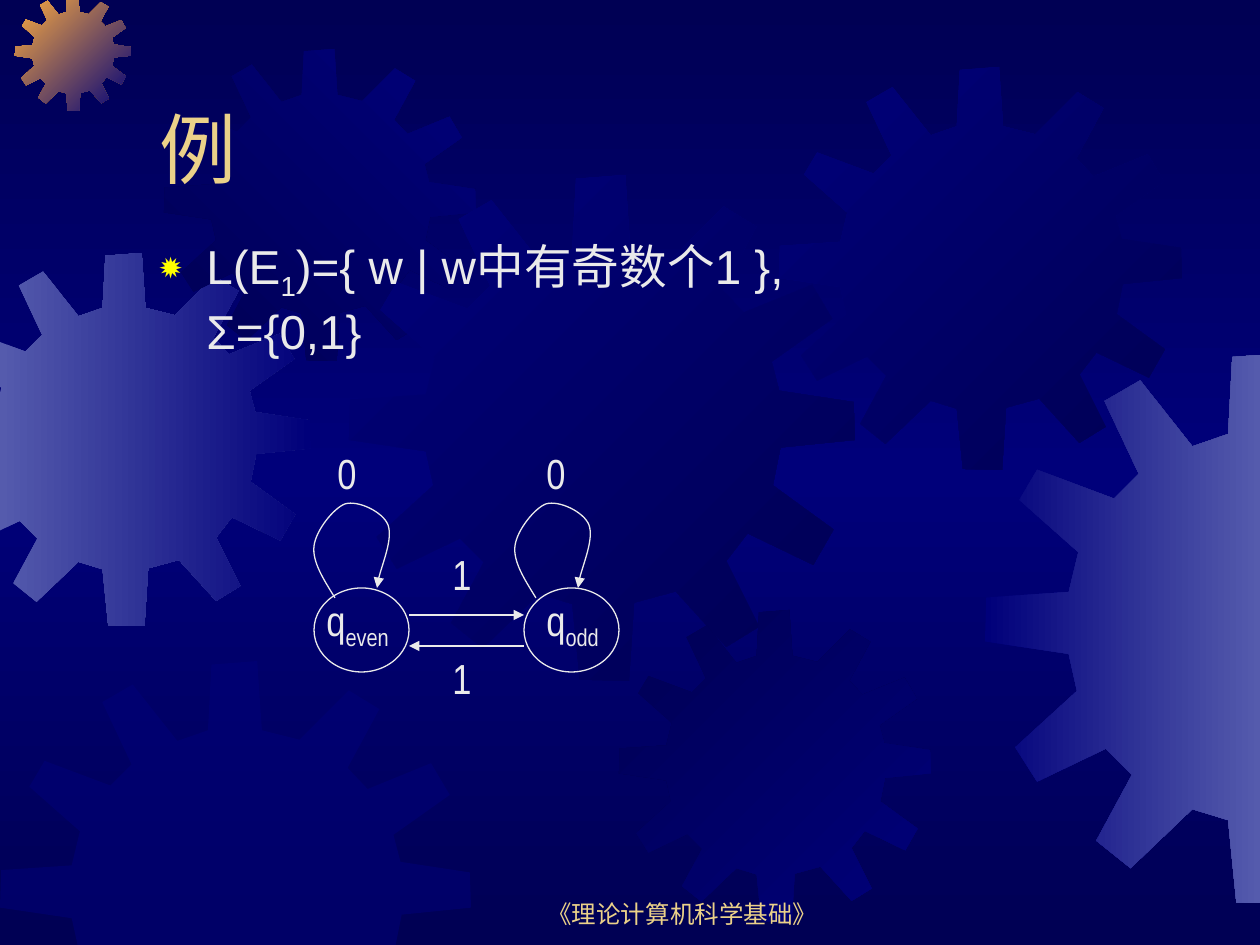
from pptx import Presentation
from pptx.dml.color import RGBColor
from pptx.enum.shapes import MSO_CONNECTOR, MSO_SHAPE
from pptx.enum.text import MSO_ANCHOR, PP_ALIGN
from pptx.oxml.ns import qn
from pptx.util import Pt
from lxml.etree import SubElement
from copy import deepcopy

PX = 914400 / 126
W, H = 1260, 945

NAVY = RGBColor(0x00, 0x00, 0x54)
BLUE = RGBColor(0x00, 0x00, 0x7A)
HAZE = RGBColor(0x55, 0x5B, 0xAD)
ORANGE = RGBColor(0xFC, 0xAB, 0x40)
GOLD = RGBColor(0xEB, 0xD1, 0x89)
PALE = RGBColor(0xEA, 0xEA, 0xEA)

# Gear outline in a square of GEAR_SIZE units
GEAR_SIZE = 401
GEAR = [
    (255, 67), (223, 59), (219, 0), (180, 3), (177, 59), (151, 68), (113, 20), (87, 35),
    (112, 88), (94, 106), (38, 85), (25, 107), (68, 145), (61, 174), (1, 178), (0, 210),
    (61, 219), (67, 246), (22, 287), (38, 312), (88, 288), (107, 307), (81, 355), (106, 375),
    (151, 332), (177, 340), (183, 400), (222, 401), (226, 339), (259, 330), (299, 374), (325, 358),
    (299, 306), (316, 284), (368, 309), (384, 281), (336, 246), (342, 216), (401, 210), (400, 180),
    (341, 171), (335, 148), (383, 114), (367, 87), (313, 109), (296, 91), (323, 41), (297, 25),
]
# left, top, size, gradient colours, clockwise angle (None: half-transparent solid)
GEARS = [
    (-62, 253, 373, (HAZE, BLUE), 0),
    (15, -5, 116, (ORANGE, BLUE), 45),
    (164, 49, 312, (NAVY, BLUE), 315),
    (349, 175, 506, (BLUE, NAVY), 45),
    (0, 661, 471, (BLUE,), None),
    (619, 610, 312, (NAVY, BLUE), 45),
    (779, 67, 403, (BLUE, NAVY), 45),
    (985, 353, 551, (BLUE, HAZE), 0),
]

TITLE = dict(size=Pt(44), name="Arial", color=GOLD)
FOOTER = dict(size=Pt(14), name="Arial", color=GOLD)
BODY = dict(size=Pt(27.2), name="Arial", color=PALE)
LABEL = dict(size=Pt(24), name="Arial Narrow", color=PALE)

# box, runs as (text, is subscript), font, frame values
TEXTS = [
    ((483, 872, 399, 63), [("《理论计算机科学基础》", False)], FOOTER, MSO_ANCHOR.BOTTOM),
    ((147, 42, 1071, 158), [("例", False)], TITLE, MSO_ANCHOR.BOTTOM),
    ((147, 231, 761, 136),
     [("L(E", False), ("1", True), (")={ w | w中有奇数个1 }, Σ={0,1}", False)], BODY, MSO_ANCHOR.TOP),
    ((314, 588, 94, 71), [("q", False), ("even", True)], LABEL, MSO_ANCHOR.TOP),
    ((534, 588, 94, 71), [("q", False), ("odd", True)], LABEL, MSO_ANCHOR.TOP),
] + [((x, y, 63, 63), [(text, False)], LABEL, MSO_ANCHOR.TOP)
     for x, y, text in [(325, 441, "0"), (440, 542, "1"), (534, 441, "0"), (440, 646, "1")]]

STATES = [(314, 588, 95, 84), (524, 588, 95, 84)]
TRANSITIONS = [(409, 524, 615), (524, 409, 646)]
LOOP = [(335, 598), (324, 580), (312, 562), (314, 546), (316, 530), (334, 508), (345, 504),
        (358, 500), (383, 512), (388, 525), (393, 539), (377, 577), (377, 588)]
LOOP_SHIFTS = [0, 201]


def emu(*values):
    return [round(v * PX) for v in values]


def clip(points, axis, limit, sign):
    """Keep the part of a polygon where sign * (coordinate - limit) >= 0."""
    kept = []
    for a, b in zip(points[-1:] + points, points):
        da, db = sign * (a[axis] - limit), sign * (b[axis] - limit)
        if da * db < 0:
            t = da / (da - db)
            kept.append((a[0] + t * (b[0] - a[0]), a[1] + t * (b[1] - a[1])))
        if db >= 0:
            kept.append(b)
    return kept


def add_freeform(points, closed):
    points = [emu(*pt) for pt in points]
    builder = slide.shapes.build_freeform(*points[0], scale=1.0)
    builder.add_line_segments(points[1:], close=closed)
    sp = builder.convert_to_shape()
    sp.shadow.inherit = False
    return sp


def set_gradient(fill, colours, angle):
    fill.gradient()
    fill.gradient_angle = (360 - angle) % 360
    for stop, colour, pos in zip(fill.gradient_stops, colours, (0, 1)):
        stop.color.rgb = colour
        stop.position = pos


def add_gear(left, top, size, colours, angle):
    k = size / GEAR_SIZE
    points = [(left + x * k, top + y * k) for x, y in GEAR]
    for axis, limit, sign in [(0, 0, 1), (1, 0, 1), (0, W, -1), (1, H, -1)]:
        points = clip(points, axis, limit, sign)
    sp = add_freeform(points, True)
    sp.line.fill.background()
    if angle is None:
        sp.fill.solid()
        sp.fill.fore_color.rgb = colours[0]
        SubElement(next(sp.element.iter(qn("a:srgbClr"))), qn("a:alpha"), val="50000")
    else:
        set_gradient(sp.fill, colours, angle)


def style_line(sp, arrow=False):
    sp.line.color.rgb = PALE
    sp.line.width = Pt(0.75)
    if arrow:
        SubElement(sp.line._get_or_add_ln(), qn("a:tailEnd"), type="triangle")


def add_loop(shift):
    """Draw LOOP as cubic curves: every three points after the first make one."""
    sp = add_freeform([(x + shift, y) for x, y in LOOP], False)
    sp.fill.background()
    style_line(sp, arrow=True)
    outline = next(sp.element.iter(qn("a:path")))
    segments = outline.findall(qn("a:lnTo"))
    for i in range(0, len(segments), 3):
        curve = SubElement(outline, qn("a:cubicBezTo"))
        for segment in segments[i:i + 3]:
            curve.append(segment[0])
            outline.remove(segment)


def add_text(box, runs, font, anchor):
    tf = slide.shapes.add_textbox(*emu(*box)).text_frame
    tf.word_wrap = True
    tf.vertical_anchor = anchor
    p = tf.paragraphs[0]
    if font is FOOTER:
        p.alignment = PP_ALIGN.CENTER
    if font is BODY:
        add_bullet(p)
    for text, is_sub in runs:
        r = p.add_run()
        r.text = text
        for key, value in font.items():
            if key == "color":
                r.font.color.rgb = value
            else:
                setattr(r.font, key, value)
        if is_sub:
            r._r.get_or_add_rPr().set("baseline", "-25000")


def add_bullet(p):
    pPr = p._p.get_or_add_pPr()
    indent = round(47 * PX)
    pPr.set("marL", str(indent))
    pPr.set("indent", str(-indent))
    SubElement(SubElement(pPr, qn("a:buClr")), qn("a:srgbClr"), val="FFFF00")
    SubElement(pPr, qn("a:buSzPct"), val="80000")
    SubElement(pPr, qn("a:buChar"), char="✹")


prs = Presentation()
prs.slide_width, prs.slide_height = emu(W, H)
slide = prs.slides.add_slide(prs.slide_layouts[6])

set_gradient(slide.background.fill, (NAVY, NAVY), 90)
first = next(slide.element.iter(qn("a:gs")))
middle = deepcopy(first)
middle.set("pos", "50000")
middle[0].set("val", str(BLUE))
first.addnext(middle)

for gear in GEARS:
    add_gear(*gear)
for box in STATES:
    sp = slide.shapes.add_shape(MSO_SHAPE.OVAL, *emu(*box))
    sp.shadow.inherit = False
    sp.fill.background()
    style_line(sp)
for x1, x2, y in TRANSITIONS:
    cxn = slide.shapes.add_connector(MSO_CONNECTOR.STRAIGHT, *emu(x1, y, x2, y))
    style_line(cxn, arrow=True)
    SubElement(cxn.element.spPr, qn("a:effectLst"))
for shift in LOOP_SHIFTS:
    add_loop(shift)
for text in TEXTS:
    add_text(*text)

prs.save("out.pptx")
